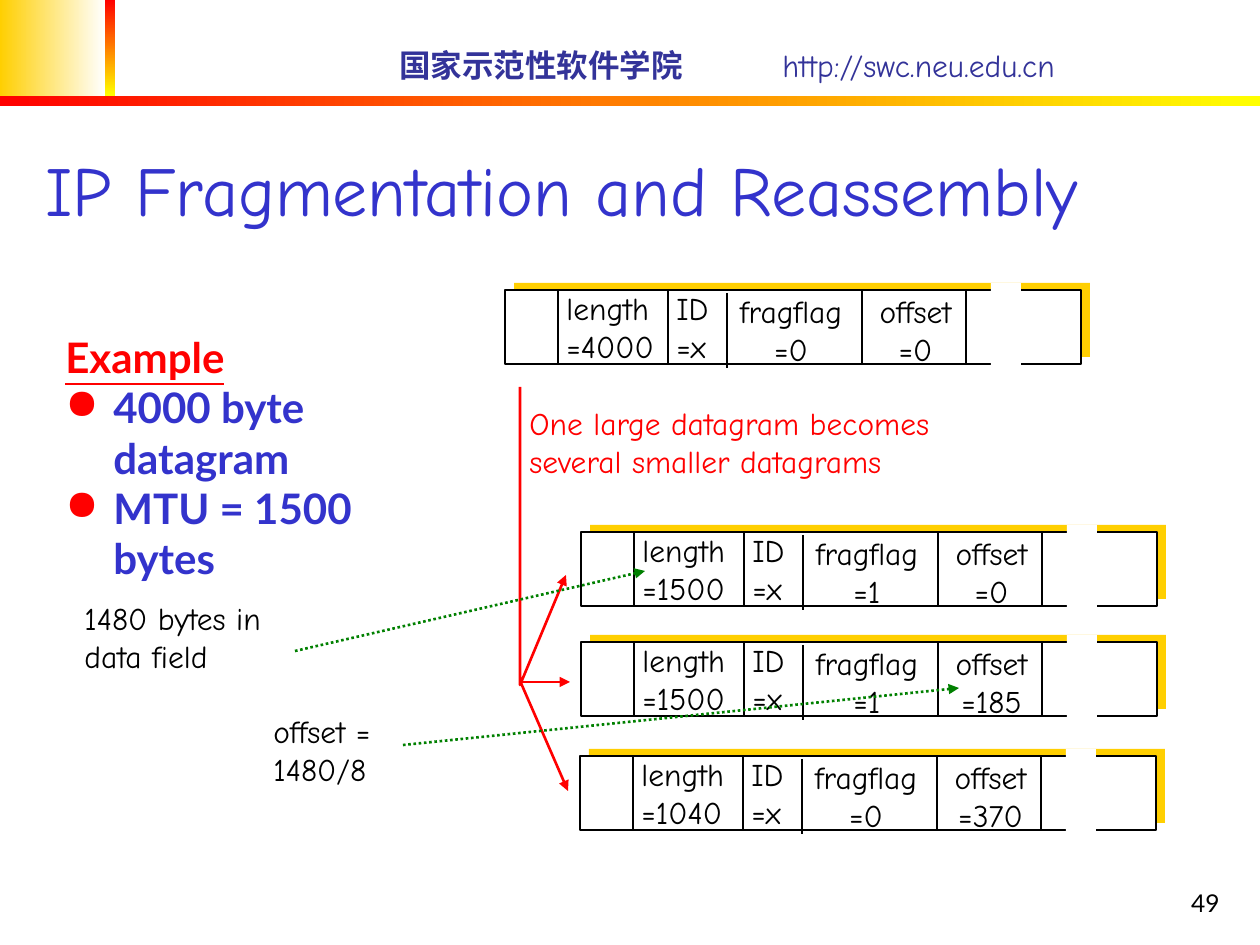
from lxml import etree
from pptx import Presentation
from pptx import util as u
from pptx.dml.color import RGBColor
from pptx.enum import dml, shapes, text
from pptx.oxml import ns

PX = 914400 / 126
COMIC, LATO = "Comic Neue", "Lato"
BLACK, WHITE, RED, GOLD = "000000", "FFFFFF", "FF0000", "FFCF01"
BLUE, NAVY, GREEN, YELLOW = "3333CC", "333399", "008000", "FFFF00"
LEFT, CENTER, RIGHT = text.PP_ALIGN.LEFT, text.PP_ALIGN.CENTER, text.PP_ALIGN.RIGHT
TOP, MIDDLE, BOTTOM = text.MSO_ANCHOR.TOP, text.MSO_ANCHOR.MIDDLE, text.MSO_ANCHOR.BOTTOM

BANDS = [
    ((0, 0, 105, 96), GOLD, WHITE, 0),
    ((105, 0, 10, 96), RED, YELLOW, 270),
    ((0, 96, 1260, 10), RED, YELLOW, 0),
]
HEADER = [
    ((387, 40, 340, 50), "国家示范性软件学院", True),
    ((770, 40, 400, 50), "http://swc.neu.edu.cn", False),
]
TITLE = "IP Fragmentation and Reassembly"
PAGE = "49"
EXAMPLE = [("Example", False), ("4000 byte datagram", True), ("MTU = 1500 bytes", True)]
NOTES = [
    ((517, 398, 450, 88), ["One large datagram becomes", "several smaller datagrams"], RED),
    ((72, 593, 233, 88), ["1480 bytes in", "data field"], BLACK),
    ((261, 706, 146, 88), ["offset =", "1480/8"], BLACK),
]
DATAGRAMS = [
    (505, 290, {"length": "4000", "ID": "x", "fragflag": "0", "offset": "0"}),
    (581, 532, {"length": "1500", "ID": "x", "fragflag": "1", "offset": "0"}),
    (581, 642, {"length": "1500", "ID": "x", "fragflag": "1", "offset": "185"}),
    (580, 756, {"length": "1040", "ID": "x", "fragflag": "0", "offset": "370"}),
]
FIELDS = {
    "length": (49, -7, 118, LEFT),
    "ID": (159, -7, 66, LEFT),
    "fragflag": (213, -4, 146, CENTER),
    "offset": (350, -4, 121, CENTER),
}
DIVIDERS = [(53, 0), (163, 0), (222, 3), (357, 0), (461, 0)]
SPLIT = [(520, 387), (520, 685), (566, 575)]
SPLIT_ARROWS = [(520, 682, 570, 682), (521, 683, 568, 791)]
POINTERS = [(295, 651, 645, 571), (403, 745, 959, 688)]


def px(*lengths):
    return [round(n * PX) for n in lengths]


def color(value):
    return RGBColor.from_string(value)


def add_rect(slide, box, fill, outline=None):
    rect = slide.shapes.add_shape(shapes.MSO_SHAPE.RECTANGLE, *px(*box))
    rect.shadow.inherit = False
    rect.fill.solid()
    rect.fill.fore_color.rgb = color(fill)
    if outline:
        rect.line.color.rgb = color(outline)
        rect.line.width = u.Pt(1.5)
    else:
        rect.line.fill.background()
    return rect


def add_band(slide, box, start, end, angle):
    fill = add_rect(slide, box, start).fill
    fill.gradient()
    fill.gradient_angle = angle
    for stop, value, position in zip(fill.gradient_stops, (start, end), (0, 1)):
        stop.color.rgb = color(value)
        stop.position = position


def add_run(paragraph, words, size, font, value, bold=False):
    run = paragraph.add_run()
    run.text = words
    run.font.size, run.font.name, run.font.bold = u.Pt(size), font, bold
    run.font.color.rgb = color(value)
    return run


def add_frame(slide, box, wrap=False, anchor=TOP):
    frame = slide.shapes.add_textbox(*px(*box)).text_frame
    frame.word_wrap, frame.vertical_anchor = wrap, anchor
    return frame


def add_lines(slide, box, lines, value=BLACK, size=18, font=COMIC, align=LEFT,
              bold=False, wrap=False, anchor=TOP):
    frame = add_frame(slide, box, wrap, anchor)
    for i, words in enumerate(lines):
        paragraph = frame.add_paragraph() if i else frame.paragraphs[0]
        paragraph.alignment = align
        add_run(paragraph, words, size, font, value, bold)


def style_line(shape, value, arrow):
    shape.line.color.rgb = color(value)
    shape.line.width = u.Pt(1.5)
    if arrow:
        line = shape.line._get_or_add_ln()
        etree.SubElement(line, ns.qn("a:tailEnd"), type="triangle")


def add_line(slide, ends, value, arrow=False, dotted=False):
    line = slide.shapes.add_connector(shapes.MSO_CONNECTOR.STRAIGHT, *px(*ends))
    if dotted:
        line.line.dash_style = dml.MSO_LINE.ROUND_DOT
    style_line(line, value, arrow)
    etree.SubElement(line._element.spPr, ns.qn("a:effectLst"))


def add_datagram(slide, x, y, values):
    add_rect(slide, (x + 9, y - 7, 576, 74), GOLD)
    add_rect(slide, (x, y, 576, 74), WHITE, BLACK)
    for field, (dx, dy, width, align) in FIELDS.items():
        add_lines(slide, (x + dx, y + dy, width, 88), [field, "=" + values[field]], align=align)
    for dx, dy in DIVIDERS:
        add_line(slide, (x + dx, y + dy, x + dx, y + dy + 75), BLACK)
    add_rect(slide, (x + 486, y - 7, 30, 83), WHITE)


def add_split(slide):
    builder = slide.shapes.build_freeform(*SPLIT[0], scale=PX)
    builder.add_line_segments(SPLIT[1:], close=False)
    split = builder.convert_to_shape()
    split.shadow.inherit = False
    split.fill.background()
    style_line(split, RED, True)
    for ends in SPLIT_ARROWS:
        add_line(slide, ends, RED, arrow=True)


def add_example(slide):
    frame = add_frame(slide, (53, 325, 391, 232), wrap=True)
    for i, (words, bulleted) in enumerate(EXAMPLE):
        paragraph = frame.add_paragraph() if i else frame.paragraphs[0]
        props = paragraph._p.get_or_add_pPr()
        indent = px(48)[0]
        props.set("marL", str(indent))
        props.set("indent", str(-indent))
        if bulleted:
            tint = etree.SubElement(props, ns.qn("a:buClr"))
            etree.SubElement(tint, ns.qn("a:srgbClr"), val=RED)
            etree.SubElement(props, ns.qn("a:buChar"), char="●")
        run = add_run(paragraph, words, 24, LATO, BLUE if bulleted else RED, True)
        run.font.underline = not bulleted


def main():
    """Build the IP fragmentation slide."""
    deck = Presentation()
    deck.slide_width, deck.slide_height = px(1260, 945)
    slide = deck.slides.add_slide(deck.slide_layouts[6])
    for band in BANDS:
        add_band(slide, *band)
    for box, words, bold in HEADER:
        add_lines(slide, box, [words], NAVY, bold=bold, wrap=True, anchor=MIDDLE)
    add_lines(slide, (970, 861, 262, 63), [PAGE], size=14, font=LATO, align=RIGHT,
              wrap=True, anchor=BOTTOM)
    add_lines(slide, (33, 68, 1196, 169), [TITLE], BLUE, 40, wrap=True, anchor=BOTTOM)
    for datagram in DATAGRAMS:
        add_datagram(slide, *datagram)
    add_split(slide)
    add_example(slide)
    for box, lines, value in NOTES:
        add_lines(slide, box, lines, value)
    for ends in POINTERS:
        add_line(slide, ends, GREEN, arrow=True, dotted=True)
    deck.save("out.pptx")


if __name__ == "__main__":
    main()
